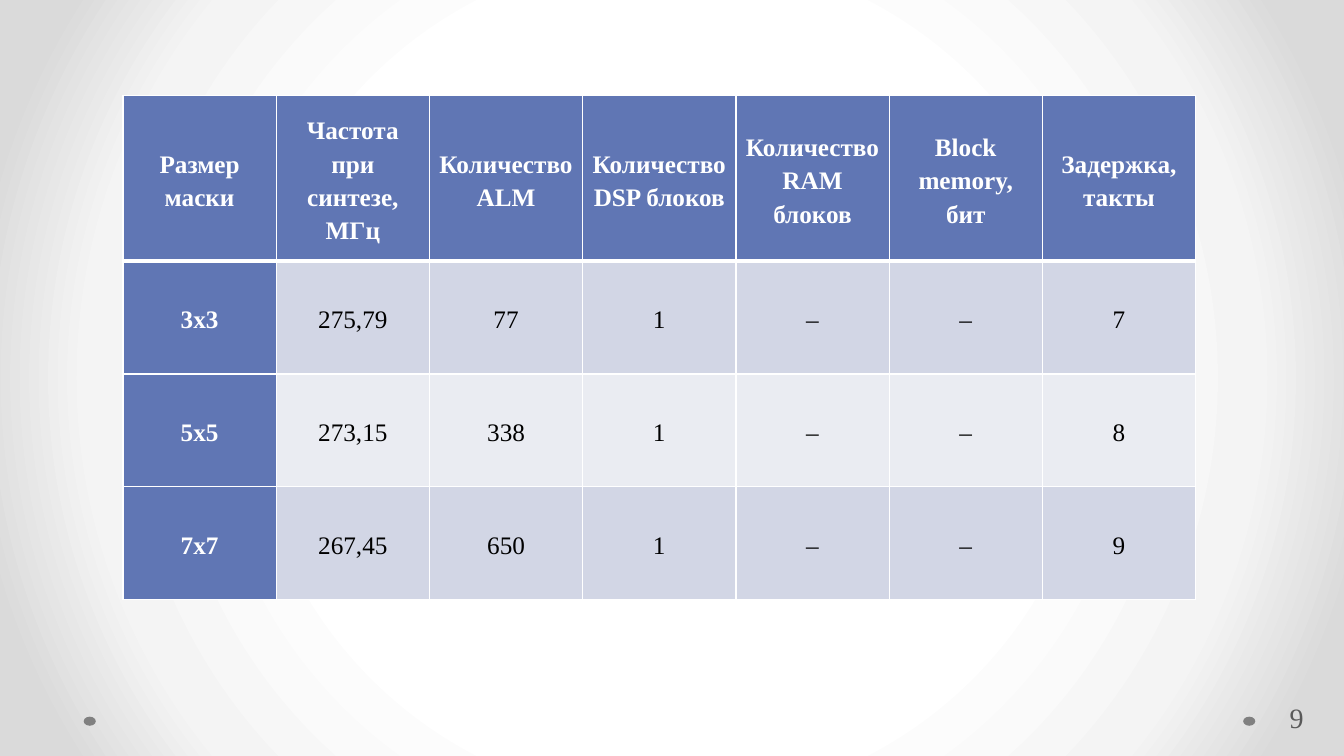
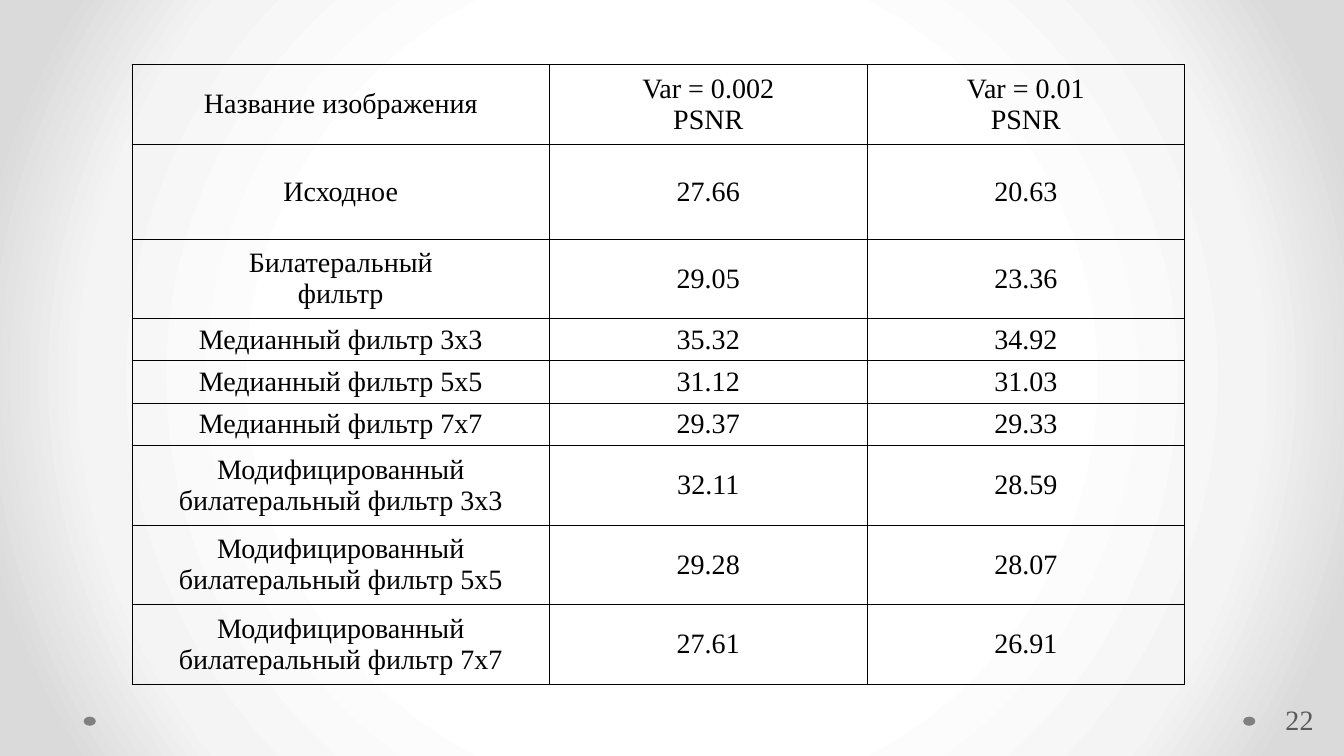
import lxml.etree
import pptx
import pptx.dml.color
import pptx.enum.shapes
import pptx.enum.text
import pptx.oxml.ns
import pptx.util

RGBColor = pptx.dml.color.RGBColor
qn = pptx.oxml.ns.qn

WHITE = RGBColor(0xFF, 0xFF, 0xFF)
BLACK = RGBColor(0x00, 0x00, 0x00)
PALE_GRAY = RGBColor(0xF4, 0xF4, 0xF4)
EDGE_GRAY = RGBColor(0xDA, 0xDA, 0xDA)
DOT_GRAY = RGBColor(0x80, 0x80, 0x80)
NUMBER_GRAY = RGBColor(0x59, 0x59, 0x59)
BLUE = RGBColor(0x60, 0x76, 0xB4)
BAND_DARK = RGBColor(0xD2, 0xD6, 0xE5)
BAND_LIGHT = RGBColor(0xEA, 0xEC, 0xF2)

PLAIN_TABLE_STYLE = "{2D5ABB26-0587-4C30-8999-92F81FD0307C}"
BACKGROUND_STOPS = ((50, WHITE), (76, PALE_GRAY), (92, EDGE_GRAY))

SYNTHESIS_ROWS = (
    ("Размер маски", "Частота при синтезе,\nМГц", "Количество\nALM",
     "Количество\nDSP блоков", "Количество\nRAM блоков",
     "Block memory,\nбит", "Задержка, такты"),
    ("3х3", "275,79", "77", "1", "–", "–", "7"),
    ("5х5", "273,15", "338", "1", "–", "–", "8"),
    ("7х7", "267,45", "650", "1", "–", "–", "9"),
)
PSNR_ROWS = (
    ("Название изображения", "Var = 0.002\nPSNR", "Var = 0.01\nPSNR"),
    ("Исходное", "27.66", "20.63"),
    ("Билатеральный\nфильтр", "29.05", "23.36"),
    ("Медианный фильтр 3х3", "35.32", "34.92"),
    ("Медианный фильтр 5х5", "31.12", "31.03"),
    ("Медианный фильтр 7х7", "29.37", "29.33"),
    ("Модифицированный билатеральный фильтр 3х3", "32.11", "28.59"),
    ("Модифицированный билатеральный фильтр 5х5", "29.28", "28.07"),
    ("Модифицированный билатеральный фильтр 7х7", "27.61", "26.91"),
)


def px(length):
    """Turn px, 100 to the inch, into EMU."""
    return pptx.util.Emu(length * 9144)


def add_color(parent, color):
    lxml.etree.SubElement(parent, qn("a:srgbClr"), val=str(color))


def set_borders(cell, color, left=1, right=1, top=1, bottom=1):
    """Draw the four cell borders, with widths in points."""
    properties = cell._tc.get_or_add_tcPr()
    widths = {"a:lnL": left, "a:lnR": right, "a:lnT": top, "a:lnB": bottom}
    for position, (tag, width) in enumerate(widths.items()):
        line = properties.makeelement(qn(tag), {"w": str(pptx.util.Pt(width))})
        add_color(lxml.etree.SubElement(line, qn("a:solidFill")), color)
        properties.insert(position, line)


class Deck:
    FONT = "Times New Roman"

    def __init__(self, width, height):
        self.presentation = pptx.Presentation()
        self.presentation.slide_width = px(width)
        self.presentation.slide_height = px(height)
        self.page = None

    def add_page(self, number, left, top, width):
        """Start a page with its background, dots and number."""
        layout = self.presentation.slide_layouts[6]
        self.page = self.presentation.slides.add_slide(layout)
        self.paint_background()
        for dot_left in (1233, 83):
            self.add_dot(dot_left, 711)
        self.add_number(number, left, top, width)

    def paint_background(self):
        self.page.background.fill.gradient()
        gradient = self.page.element.find(".//" + qn("a:gradFill"))
        for child in list(gradient):
            gradient.remove(child)
        stops = lxml.etree.SubElement(gradient, qn("a:gsLst"))
        for percent, color in BACKGROUND_STOPS:
            add_color(lxml.etree.SubElement(stops, qn("a:gs"), pos=str(percent * 1000)), color)
        circle = lxml.etree.SubElement(gradient, qn("a:path"), path="circle")
        lxml.etree.SubElement(circle, qn("a:fillToRect"), l="50000", t="50000", r="50000", b="50000")

    def add_dot(self, left, top):
        dot = self.page.shapes.add_shape(
            pptx.enum.shapes.MSO_SHAPE.OVAL, px(left), px(top), px(12), px(9))
        dot.shadow.inherit = False
        dot.fill.solid()
        dot.fill.fore_color.rgb = DOT_GRAY
        dot.line.fill.background()

    def add_number(self, number, left, top, width):
        box = self.page.shapes.add_textbox(px(left), px(top), px(width), px(40))
        frame = box.text_frame
        frame.word_wrap = True
        frame.vertical_anchor = pptx.enum.text.MSO_ANCHOR.MIDDLE
        frame.margin_left = px(3)
        frame.margin_right = frame.margin_top = frame.margin_bottom = px(5)
        frame.text = str(number)
        self.style_text(frame.paragraphs[0], 20, NUMBER_GRAY)

    def style_text(self, paragraph, size, color, bold=False):
        for span in paragraph.runs:
            span.font.name = self.FONT
            span.font.size = pptx.util.Pt(size)
            span.font.color.rgb = color
            span.font.bold = bold

    def add_table(self, rows, left, top, widths, heights):
        frame = self.page.shapes.add_table(
            len(rows), len(widths), px(left), px(top), px(sum(widths)), px(sum(heights)))
        table = frame.table
        table.first_row = table.horz_banding = False
        frame._element.find(".//" + qn("a:tableStyleId")).text = PLAIN_TABLE_STYLE
        for column, width in zip(table.columns, widths):
            column.width = px(width)
        for row, height in zip(table.rows, heights):
            row.height = px(height)
        for row, texts in zip(table.rows, rows):
            for cell, text in zip(row.cells, texts):
                cell.text_frame.text = text
        return table

    def style_cell(self, cell, size, color, margins, bold=False, spacing=None, fill=None):
        """Style a cell; margins are the side and the top-and-bottom one."""
        cell.vertical_anchor = pptx.enum.text.MSO_ANCHOR.MIDDLE
        cell.margin_left = cell.margin_right = px(margins[0])
        cell.margin_top = cell.margin_bottom = px(margins[1])
        if fill is None:
            cell.fill.background()
        else:
            cell.fill.solid()
            cell.fill.fore_color.rgb = fill
        for paragraph in cell.text_frame.paragraphs:
            paragraph.alignment = pptx.enum.text.PP_ALIGN.CENTER
            paragraph.line_spacing = spacing
            self.style_text(paragraph, size, color, bold)

    def add_banded_table(self, rows, left, top, widths, heights):
        """Add a table with a blue first row and column and banded values."""
        table = self.add_table(rows, left, top, widths, heights)
        for row_index, row in enumerate(table.rows):
            band = BAND_DARK if row_index % 2 else BAND_LIGHT
            for column_index, cell in enumerate(row.cells):
                heading = row_index == 0 or column_index == 0
                self.style_cell(cell, 18, WHITE if heading else BLACK, (7, 0), bold=heading,
                                spacing=1.2, fill=BLUE if heading else band)
                set_borders(cell, WHITE, top=3 if row_index == 1 else 1,
                            bottom=3 if row_index == 0 else 1)

    def add_grid_table(self, rows, left, top, widths, heights):
        """Add an unfilled table with thin black borders."""
        table = self.add_table(rows, left, top, widths, heights)
        for cell in table.iter_cells():
            self.style_cell(cell, 20, BLACK, (3, 2))
            set_borders(cell, BLACK, 0.5, 0.5, 0.5, 0.5)


def main():
    deck = Deck(1333, 750)

    deck.add_page(9, 1276, 692, 22)
    deck.add_banded_table(SYNTHESIS_ROWS, 122, 95, [152] * 7, [164] + [112] * 3)

    deck.add_page(22, 1272, 694, 37)
    deck.add_grid_table(PSNR_ROWS, 131, 64, [414, 315, 315],
                        [79, 94, 79] + [42] * 3 + [79] * 3)

    deck.presentation.save("out.pptx")


if __name__ == "__main__":
    main()
